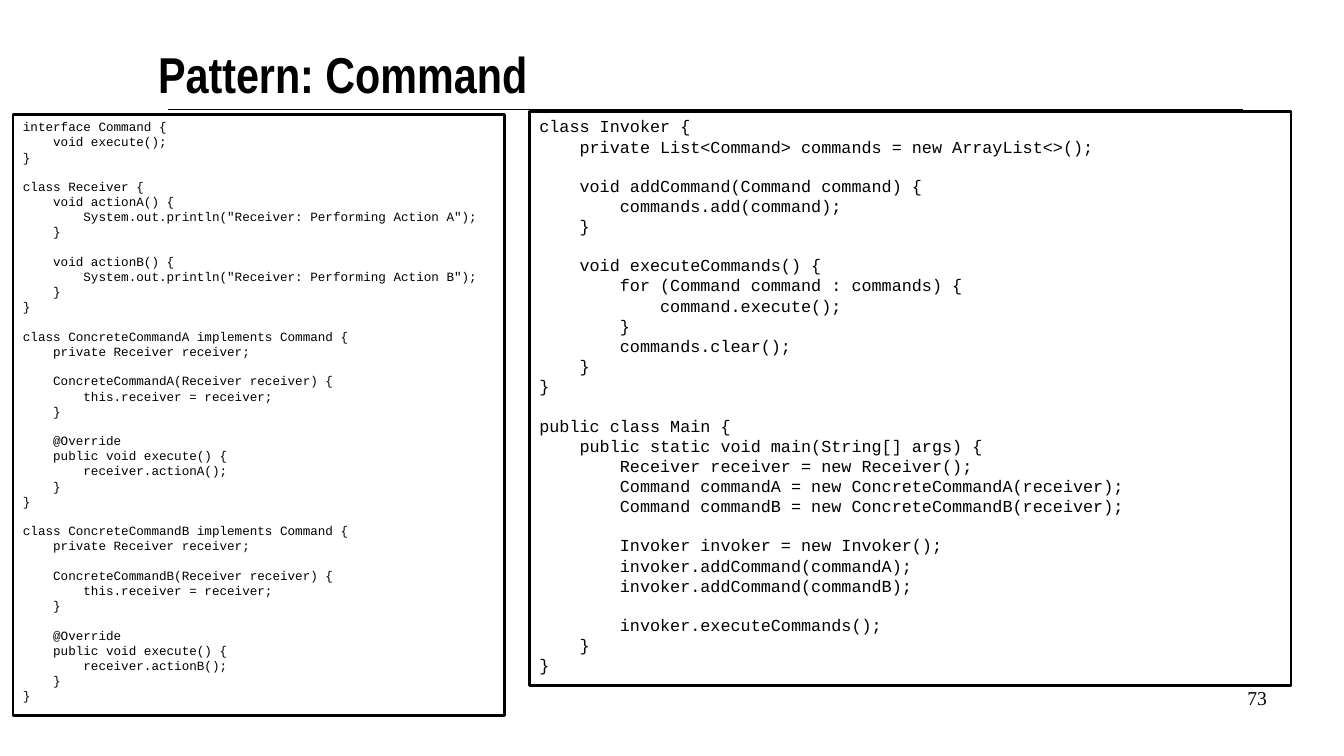
from pptx import Presentation
from pptx.dml.color import RGBColor
from pptx.enum.shapes import MSO_CONNECTOR, MSO_SHAPE
from pptx.enum.text import MSO_ANCHOR, MSO_AUTO_SIZE, PP_ALIGN
from pptx.oxml.ns import qn
from pptx.util import Pt
from lxml.etree import SubElement

SCALE = 9080
BLACK = RGBColor(0, 0, 0)
WHITE = RGBColor(255, 255, 255)
LEADING = 1.133

RECEIVER = """interface Command {
    void execute();
}

class Receiver {
    void actionA() {
        System.out.println("Receiver: Performing Action A");
    }

    void actionB() {
        System.out.println("Receiver: Performing Action B");
    }
}"""

CONCRETE = """

class ConcreteCommand# implements Command {
    private Receiver receiver;

    ConcreteCommand#(Receiver receiver) {
        this.receiver = receiver;
    }

    @Override
    public void execute() {
        receiver.action#();
    }
}"""

INVOKER = """class Invoker {
    private List<Command> commands = new ArrayList<>();

    void addCommand(Command command) {
        commands.add(command);
    }

    void executeCommands() {
        for (Command command : commands) {
            command.execute();
        }
        commands.clear();
    }
}

public class Main {
    public static void main(String[] args) {
        Receiver receiver = new Receiver();
        Command commandA = new ConcreteCommandA(receiver);
        Command commandB = new ConcreteCommandB(receiver);

        Invoker invoker = new Invoker();
        invoker.addCommand(commandA);
        invoker.addCommand(commandB);

        invoker.executeCommands();
    }
}"""


def px(*sizes):
    return [size * SCALE for size in sizes]


def apply(target, values):
    for name, value in values.items():
        setattr(target, name, value)


def place(shape, *box):
    apply(shape, dict(zip(("left", "top", "width", "height"), px(*box))))


def write(para, text, face, size, bold=False):
    para.text = text
    apply(para.font, {"name": face, "size": Pt(size), "bold": bold})
    para.font.color.rgb = BLACK


def add_rule(slide, left, right, top):
    rule = slide.shapes.add_connector(
        MSO_CONNECTOR.STRAIGHT, *px(left, top, right, top))
    rule.line.width = Pt(0.75)
    rule.line.color.rgb = BLACK
    SubElement(rule._element.spPr, qn("a:effectLst"))


def set_title(slide, text, *box):
    title = slide.shapes.title
    place(title, *box)
    frame = title.text_frame
    apply(frame, {
        "margin_left": 0, "margin_top": 0,
        "margin_right": 0, "margin_bottom": 0,
        "vertical_anchor": MSO_ANCHOR.MIDDLE,
        "auto_size": MSO_AUTO_SIZE.NONE,
    })
    para = frame.paragraphs[0]
    write(para, text, "Arial Narrow", 36, True)
    apply(para, {"alignment": PP_ALIGN.LEFT, "line_spacing": 0.9})


def add_number(slide, text, *box):
    frame = slide.shapes.add_textbox(*px(*box)).text_frame
    frame.word_wrap = True
    para = frame.paragraphs[0]
    write(para, text, "Times New Roman", 14)
    para.alignment = PP_ALIGN.RIGHT


def add_code(slide, code, size, *box):
    panel = slide.shapes.add_shape(MSO_SHAPE.RECTANGLE, *px(*box))
    panel.shadow.inherit = False
    panel.fill.solid()
    panel.fill.fore_color.rgb = WHITE
    panel.line.color.rgb = BLACK
    panel.line.width = Pt(2)
    frame = panel.text_frame
    apply(frame, {
        "word_wrap": True,
        "vertical_anchor": MSO_ANCHOR.TOP,
        "auto_size": MSO_AUTO_SIZE.SHAPE_TO_FIT_TEXT,
    })
    para = frame.paragraphs[0]
    for part, block in enumerate(code.split("\n\n")):
        for row, text in enumerate(block.split("\n")):
            if part or row:
                para = frame.add_paragraph()
            write(para, text, "Courier New", size)
            para.alignment = PP_ALIGN.LEFT
            if part and not row:
                para.space_before = Pt(round(size * LEADING, 1))


def main():
    deck = Presentation()
    deck.slide_width, deck.slide_height = px(1343, 755)
    slide = deck.slides.add_slide(deck.slide_layouts[5])
    add_rule(slide, 168, 1242, 109)
    set_title(slide, "Pattern: Command", 158, 39, 1027, 76)
    add_number(slide, "73", 996, 680, 280, 50)
    classes = RECEIVER + "".join(CONCRETE.replace("#", key) for key in "AB")
    add_code(slide, classes, 9, 13, 114, 491, 601)
    add_code(slide, INVOKER, 12, 529, 111, 761, 574)
    deck.save("out.pptx")


if __name__ == "__main__":
    main()
